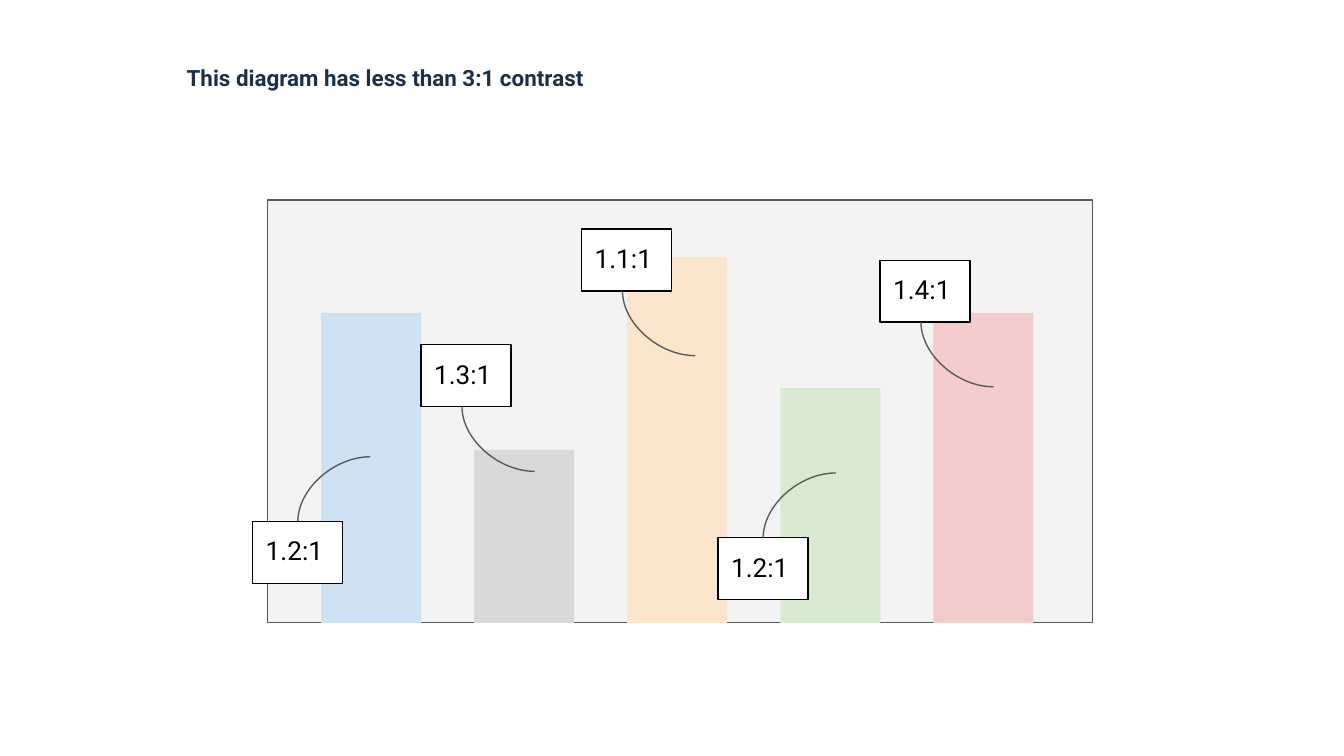
"""Build a slide showing a bar diagram with low contrast ratios."""
from lxml.etree import SubElement
from pptx import Presentation
from pptx.dml.color import RGBColor
from pptx.enum.shapes import MSO_CONNECTOR as Link, MSO_SHAPE as Shape
from pptx.enum.text import MSO_ANCHOR as Anchor, PP_ALIGN as Align
from pptx.oxml.ns import qn
from pptx.util import Pt

theme = dict(
    face="Roboto", head=12, label=14, line=0.75,
    navy="1C304A", black="000000", white="FFFFFF", gray="595959", panel="F3F3F3",
)


def add_box(x, y, w, h, fill, edge=None):
    box = slide.shapes.add_shape(Shape.RECTANGLE, Pt(x), Pt(y), Pt(w), Pt(h))
    box.shadow.inherit = False
    box.fill.solid()
    box.fill.fore_color.rgb = RGBColor.from_string(fill)
    if edge:
        box.line.color.rgb = RGBColor.from_string(edge)
        box.line.width = Pt(theme["line"])
    else:
        box.line.fill.background()
    return box


def put_text(shape, text, size, color, bold, anchor):
    frame = shape.text_frame
    frame.text = text
    pad = Pt(7.2)
    look = dict(word_wrap=True, vertical_anchor=anchor, margin_left=pad,
                margin_right=pad, margin_top=pad, margin_bottom=pad)
    for key, value in look.items():
        setattr(frame, key, value)
    para = frame.paragraphs[0]
    para.alignment = Align.LEFT
    style = dict(name=theme["face"], size=Pt(size), bold=bold)
    for key, value in style.items():
        setattr(para.font, key, value)
    para.font.color.rgb = RGBColor.from_string(color)
    return para


deck = Presentation()
deck.slide_width, deck.slide_height = Pt(720), Pt(405)
slide = deck.slides.add_slide(deck.slide_layouts[5])

title = slide.shapes.title
place = dict(left=Pt(92.8), top=Pt(14.4), width=Pt(468), height=Pt(52.6))
for key, value in place.items():
    setattr(title, key, value)
para = put_text(title, "This diagram has less than 3:1 contrast",
                theme["head"], theme["navy"], True, Anchor.MIDDLE)
para.line_spacing = 1.15
para.space_after = Pt(16)

base = 333.7
add_box(143.3, 107.2, 442, base - 107.2, theme["panel"], theme["gray"])

bars = [(167.6, "CFE2F3"), (241, "D9D9D9"), (137.7, "FCE5CD"),
        (208, "D9EAD3"), (167.6, "F4CCCC")]
for i, (top, fill) in enumerate(bars):
    add_box(172 + 82 * i, top, 53.6, base - top, fill)

wide, high = 48.3, 33.2
run, rise = 38.9, 34.6
notes = [("1.2:1", 135.3, 279.3, True), ("1.3:1", 225.5, 184.7, False),
         ("1.1:1", 311.5, 122.7, False), ("1.2:1", 384.6, 288, True),
         ("1.4:1", 471.4, 139.4, False)]
for text, x, y, up in notes:
    box = add_box(x, y, wide, high, theme["white"], theme["black"])
    put_text(box, text, theme["label"], theme["black"], False, Anchor.TOP)

    start = x + (24.3 if up else 22)
    mid_x = start + run / 2
    mid_y = y - rise / 2 if up else y + high + rise / 2
    left, right = mid_x - rise / 2, mid_x + rise / 2
    ends = (left, right) if up else (right, left)
    curve = slide.shapes.add_connector(
        Link.CURVE, Pt(ends[0]), Pt(mid_y - run / 2), Pt(ends[1]), Pt(mid_y + run / 2))
    curve.line.color.rgb = RGBColor.from_string(theme["gray"])
    curve.line.width = Pt(theme["line"])
    props = curve._element.spPr
    props.find(qn("a:xfrm")).set("rot", str(270 * 60000))
    props.find(qn("a:prstGeom")).set("prst", "curvedConnector2")
    SubElement(props, qn("a:effectLst"))

deck.save("out.pptx")
